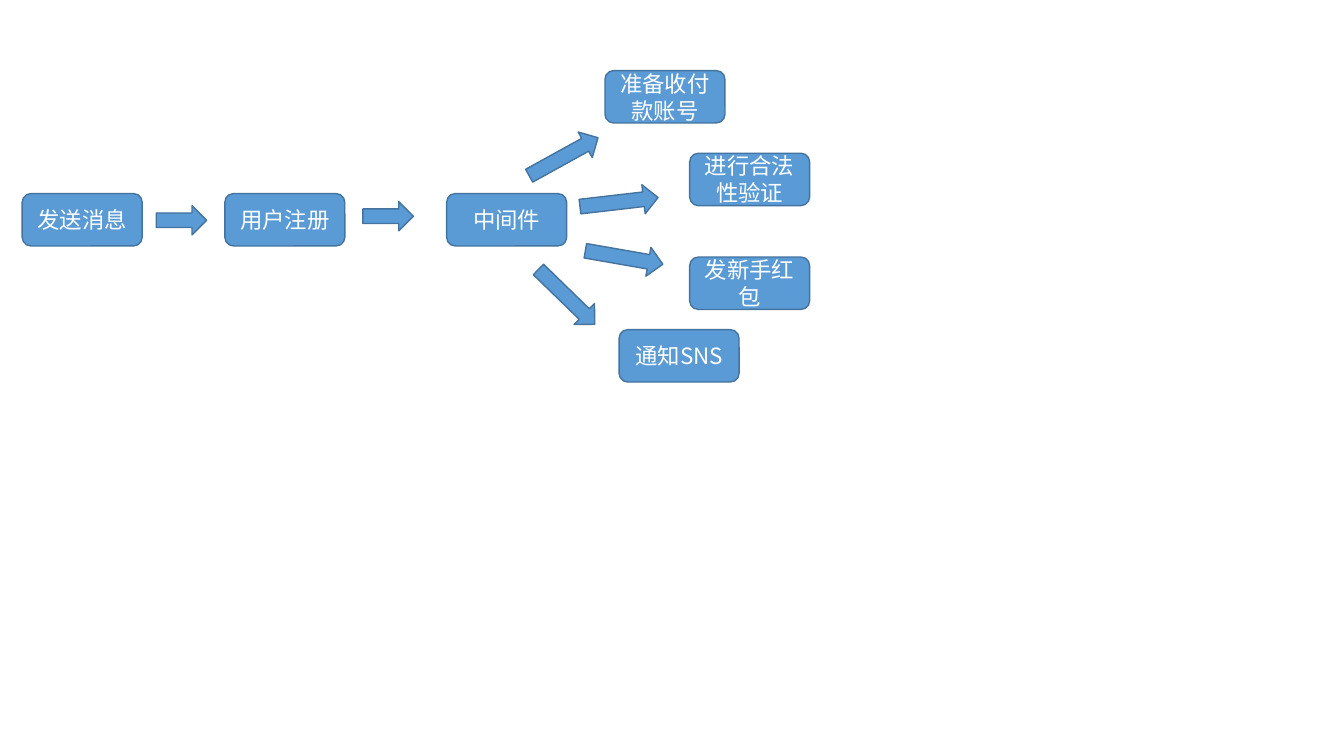
from collections import namedtuple

from lxml.etree import SubElement
from pptx import Presentation
from pptx.dml.color import RGBColor
from pptx.enum.shapes import MSO_SHAPE as Shape
from pptx.enum.text import MSO_ANCHOR as Anchor, PP_ALIGN as Align
from pptx.oxml.ns import qn
from pptx.util import Inches, Pt

BLUE = RGBColor(0x5B, 0x9B, 0xD5)
DARK_BLUE = RGBColor(0x43, 0x73, 0x9E)
WHITE = RGBColor(0xFF, 0xFF, 0xFF)
FONT = "Noto Sans CJK SC"

# All lengths are columns and rows of a square grid
CELL = Inches(0.1)
STEP_SIZE = (11.9, 5.2)
ARROW_HEIGHT = 2.9
CHAIN_ARROW, BRANCH_ARROW = 5, 7.8

Box = namedtuple("Box", "column row")


def add_block(page, kind, box, column, row, width, height):
    """Add a blue block, placed from the corner of its region."""
    cells = (box.column + column, box.row + row, width, height)
    block = page.shapes.add_shape(kind, *(round(n * CELL) for n in cells))
    block.shadow.inherit = False
    block.fill.solid()
    block.fill.fore_color.rgb = BLUE
    block.line.color.rgb = DARK_BLUE
    block.line.width = Pt(1)
    return block


def add_step(page, box, label, column, row):
    step = add_block(page, Shape.ROUNDED_RECTANGLE, box, column, row, *STEP_SIZE)
    frame = step.text_frame
    frame.word_wrap = True
    frame.vertical_anchor = Anchor.MIDDLE
    para = frame.paragraphs[0]
    para.alignment = Align.CENTER
    span = para.add_run()
    span.text = label
    span.font.name = FONT
    span.font.size = Pt(16)
    span.font.color.rgb = WHITE
    # Chinese glyphs take the East Asian typeface
    SubElement(span.font._element, qn("a:ea"), typeface=FONT)


def add_arrow(page, box, column, row, length, angle=0):
    arrow = add_block(page, Shape.RIGHT_ARROW, box, column, row,
                      length, ARROW_HEIGHT)
    arrow.rotation = angle


def add_chain(page, box):
    """Registration steps, from left to right."""
    for label, column in (("发送消息", 0), ("用户注册", 20.1), ("中间件", 42.1)):
        add_step(page, box, label, column, 0)
    for column, row in ((13.3, 1.2), (33.8, 0.8)):
        add_arrow(page, box, column, row, CHAIN_ARROW)


def add_branches(page, box):
    """Tasks that the middleware fans out to."""
    tasks = (
        ("准备收付款账号", 8, 0),
        ("进行合法性验证", 16.4, 8.2),
        ("发新手红包", 16.4, 18.5),
        ("通知SNS", 9.4, 25.7),
    )
    arrows = ((0, 7.1, 331.1), (5.5, 11.6, 353.4),
              (6, 17.1, 9.9), (0.3, 21, 44.2))
    for label, column, row in tasks:
        add_step(page, box, label, column, row)
    for column, row, angle in arrows:
        add_arrow(page, box, column, row, BRANCH_ARROW, angle)


deck = Presentation()
deck.slide_width, deck.slide_height = Inches(13.33), Inches(7.5)
page = deck.slides.add_slide(deck.slide_layouts[6])
add_chain(page, Box(2.2, 19.2))
add_branches(page, Box(52, 7))
deck.save("out.pptx")
